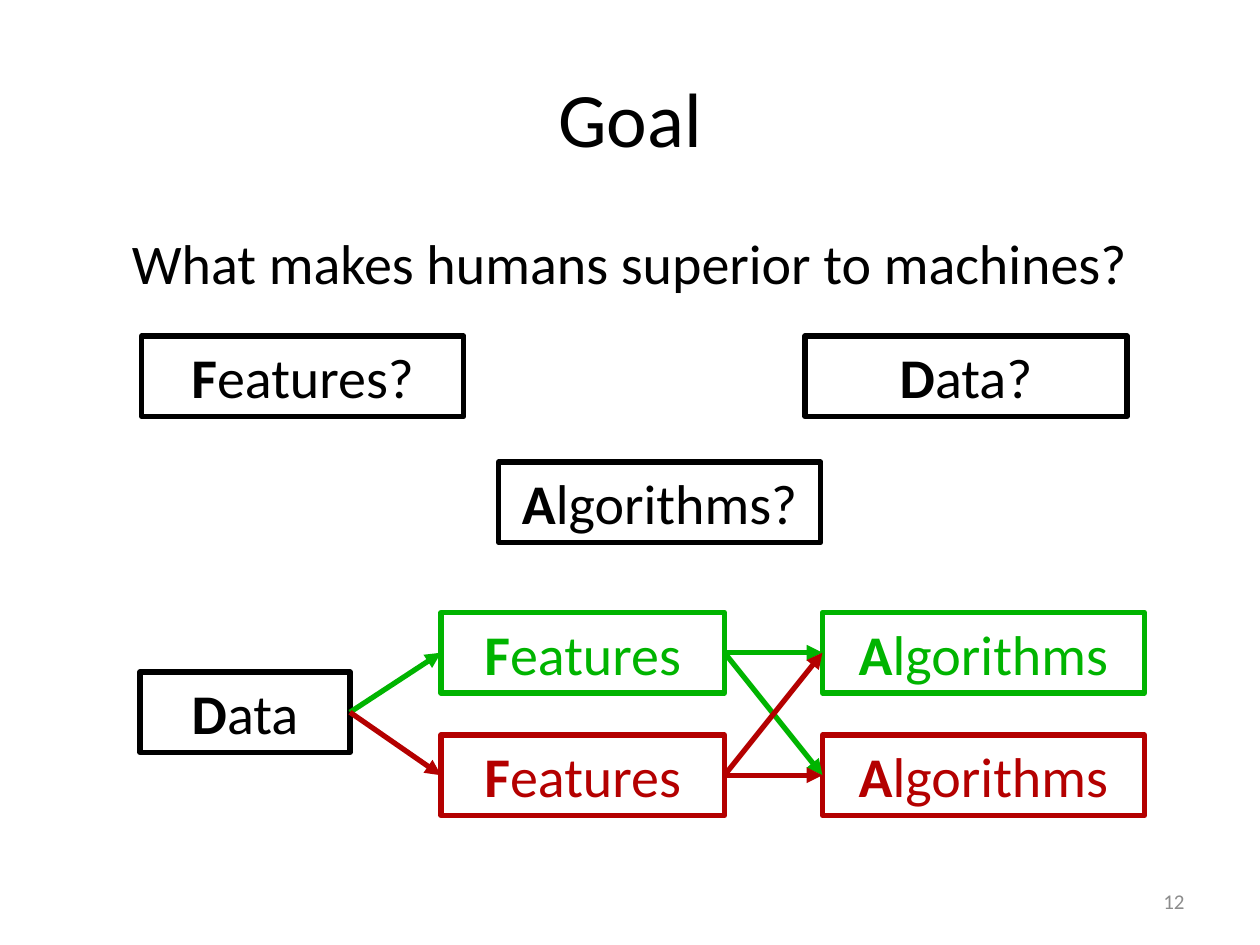
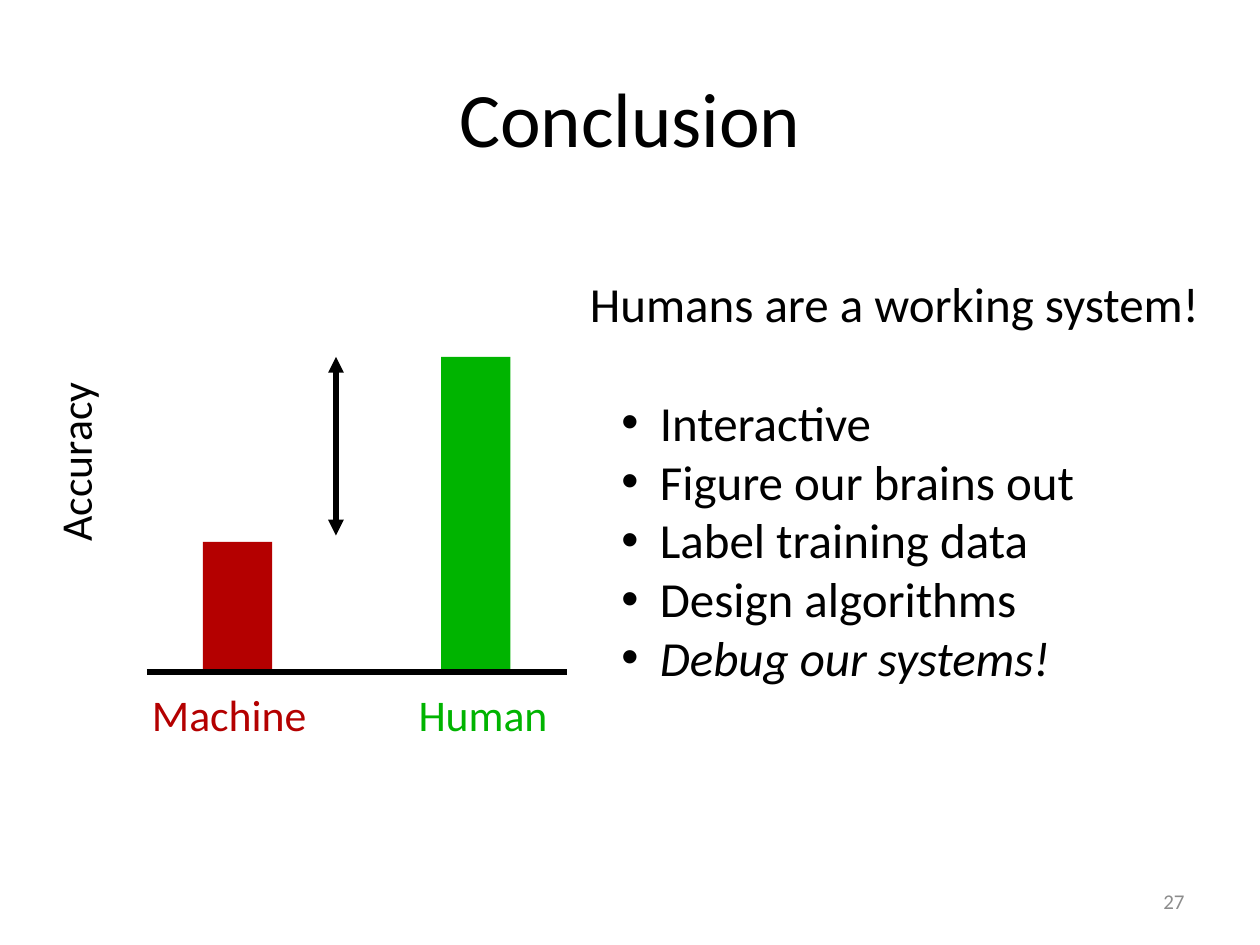
from dataclasses import dataclass

import lxml.etree
import pptx
import pptx.dml.color
import pptx.enum.shapes
import pptx.enum.text
import pptx.oxml.ns
import pptx.util

Pt = pptx.util.Pt
qn = pptx.oxml.ns.qn
ALIGN = pptx.enum.text.PP_ALIGN
ANCHOR = pptx.enum.text.MSO_ANCHOR
RECTANGLE = pptx.enum.shapes.MSO_SHAPE.RECTANGLE
STRAIGHT = pptx.enum.shapes.MSO_CONNECTOR.STRAIGHT

# Shared style
COLORS = {"text": "000000", "human": "00B400", "machine": "B40000", "number": "8C8C8C"}
FONT = "Calibri"
LINE_WIDTH = 3
BOX_HEIGHT = 46
LEFT_SIDE, RIGHT_SIDE = 1, 3
TITLE_ONLY = 5


@dataclass
class Box:
    word: str
    left: float
    top: float
    width: float
    color: str = "text"


@dataclass
class Bar:
    label: str
    left: float
    top: float
    label_left: float
    color: str


def rgb(color: str) -> pptx.dml.color.RGBColor:
    return pptx.dml.color.RGBColor.from_string(COLORS[color])


def format_text(paragraph, size: float, color: str = "text", align=ALIGN.CENTER) -> None:
    paragraph.alignment = align
    for run in paragraph.runs:
        run.font.name = FONT
        run.font.size = Pt(size)
        run.font.color.rgb = rgb(color)


def add_text(slide, text: str, area: tuple, size: float, color: str = "text",
             align=ALIGN.CENTER, anchor=ANCHOR.TOP):
    frame = slide.shapes.add_textbox(*map(Pt, area)).text_frame
    frame.word_wrap = True
    frame.vertical_anchor = anchor
    frame.text = text
    format_text(frame.paragraphs[0], size, color, align)
    return frame


def add_slide(deck, title: str, number: int):
    slide = deck.slides.add_slide(deck.slide_layouts[TITLE_ONLY])
    heading = slide.shapes.title
    heading.left, heading.top, heading.width, heading.height = map(Pt, (36, 21.6, 648, 90))
    heading.text_frame.text = title
    heading.text_frame.vertical_anchor = ANCHOR.MIDDLE
    format_text(heading.text_frame.paragraphs[0], 44)
    add_text(slide, str(number), (516, 500.5, 168, 28.75), 12, "number",
             ALIGN.RIGHT, ANCHOR.MIDDLE)
    return slide


def add_box(slide, box: Box):
    """Draw an outlined box whose word starts with a bold initial."""
    shape = slide.shapes.add_shape(
        RECTANGLE, *map(Pt, (box.left, box.top, box.width, BOX_HEIGHT)))
    shape.shadow.inherit = False
    shape.fill.background()
    shape.line.color.rgb = rgb(box.color)
    shape.line.width = Pt(LINE_WIDTH)
    shape.text_frame.vertical_anchor = ANCHOR.MIDDLE
    paragraph = shape.text_frame.paragraphs[0]
    for part, bold in ((box.word[0], True), (box.word[1:], False)):
        run = paragraph.add_run()
        run.text = part
        run.font.bold = bold
    format_text(paragraph, 32, box.color)
    return shape


def add_line(slide, points: tuple, color: str = "text", arrow_ends: tuple = ()):
    line = slide.shapes.add_connector(STRAIGHT, *map(Pt, points))
    line.line.color.rgb = rgb(color)
    line.line.width = Pt(LINE_WIDTH)
    outline = line.line._get_or_add_ln()
    for end in arrow_ends:
        lxml.etree.SubElement(outline, qn(f"a:{end}"), type="triangle")
    lxml.etree.SubElement(line._element.spPr, qn("a:effectLst"))
    return line


def add_link(slide, source, target, color: str) -> None:
    link = add_line(slide, (0, 0, 0, 0), color, ("tailEnd",))
    link.begin_connect(source, RIGHT_SIDE)
    link.end_connect(target, LEFT_SIDE)


def add_bullet(paragraph, margin: float, hanging: float) -> None:
    properties = paragraph._p.get_or_add_pPr()
    properties.set("marL", str(Pt(margin)))
    properties.set("indent", str(-Pt(hanging)))
    lxml.etree.SubElement(properties, qn("a:buFont"), typeface="Arial")
    lxml.etree.SubElement(properties, qn("a:buChar"), char="•")


def build_goal(deck) -> None:
    slide = add_slide(deck, "Goal", 12)
    add_text(slide, "What makes humans superior to machines?", (36, 127, 648, 46), 32)

    # Candidate explanations
    for question in (Box("Features?", 81, 192, 184),
                     Box("Algorithms?", 285, 264, 184),
                     Box("Data?", 460, 192, 184)):
        add_box(slide, question)

    # Human and machine pipelines, crossed with each other
    data = add_box(slide, Box("Data", 80, 384, 120))
    rows = {"human": 350, "machine": 420}
    features = {who: add_box(slide, Box("Features", 252, top, 162, who))
                for who, top in rows.items()}
    algorithms = {who: add_box(slide, Box("Algorithms", 470, top, 184, who))
                  for who, top in rows.items()}
    for who, feature in features.items():
        add_link(slide, data, feature, who)
    for who, feature in features.items():
        for algorithm in algorithms.values():
            add_link(slide, feature, algorithm, who)


def build_conclusion(deck) -> None:
    slide = add_slide(deck, "Conclusion", 27)

    # Accuracy comparison
    baseline = 384
    for bar in (Bar("Machine", 116, 309.6, 59, "machine"),
                Bar("Human", 252, 204, 204, "human")):
        column = slide.shapes.add_shape(
            RECTANGLE, *map(Pt, (bar.left, bar.top, 39.6, baseline - bar.top)))
        column.shadow.inherit = False
        column.fill.solid()
        column.fill.fore_color.rgb = rgb(bar.color)
        column.line.fill.background()
        add_text(slide, bar.label, (bar.label_left, 390, 144, 36), 25, bar.color,
                 anchor=ANCHOR.MIDDLE)
    add_line(slide, (84, baseline, 324, baseline))
    add_line(slide, (192, 204, 192, 306), arrow_ends=("headEnd", "tailEnd"))
    accuracy = add_text(slide, "Accuracy", (24, 144, 36, 240), 25)
    accuracy._txBody.bodyPr.set("vert", "vert270")

    # What humans can help with
    uses = add_text(slide, "Humans are a working system!", (330, 153, 390, 245), 28,
                    align=ALIGN.LEFT)
    for index, use in enumerate(("Interactive", "Figure our brains out",
                                 "Label training data", "Design algorithms",
                                 "Debug our systems!")):
        paragraph = uses.add_paragraph()
        paragraph.text = use
        if index == 0:
            paragraph.space_before = Pt(34)
        add_bullet(paragraph, 40, 22)
        format_text(paragraph, 28, align=ALIGN.LEFT)
    uses.paragraphs[-1].runs[0].font.italic = True


def main() -> None:
    deck = pptx.Presentation()
    deck.slide_width, deck.slide_height = Pt(720), Pt(540)
    build_goal(deck)
    build_conclusion(deck)
    deck.save("out.pptx")


if __name__ == "__main__":
    main()
